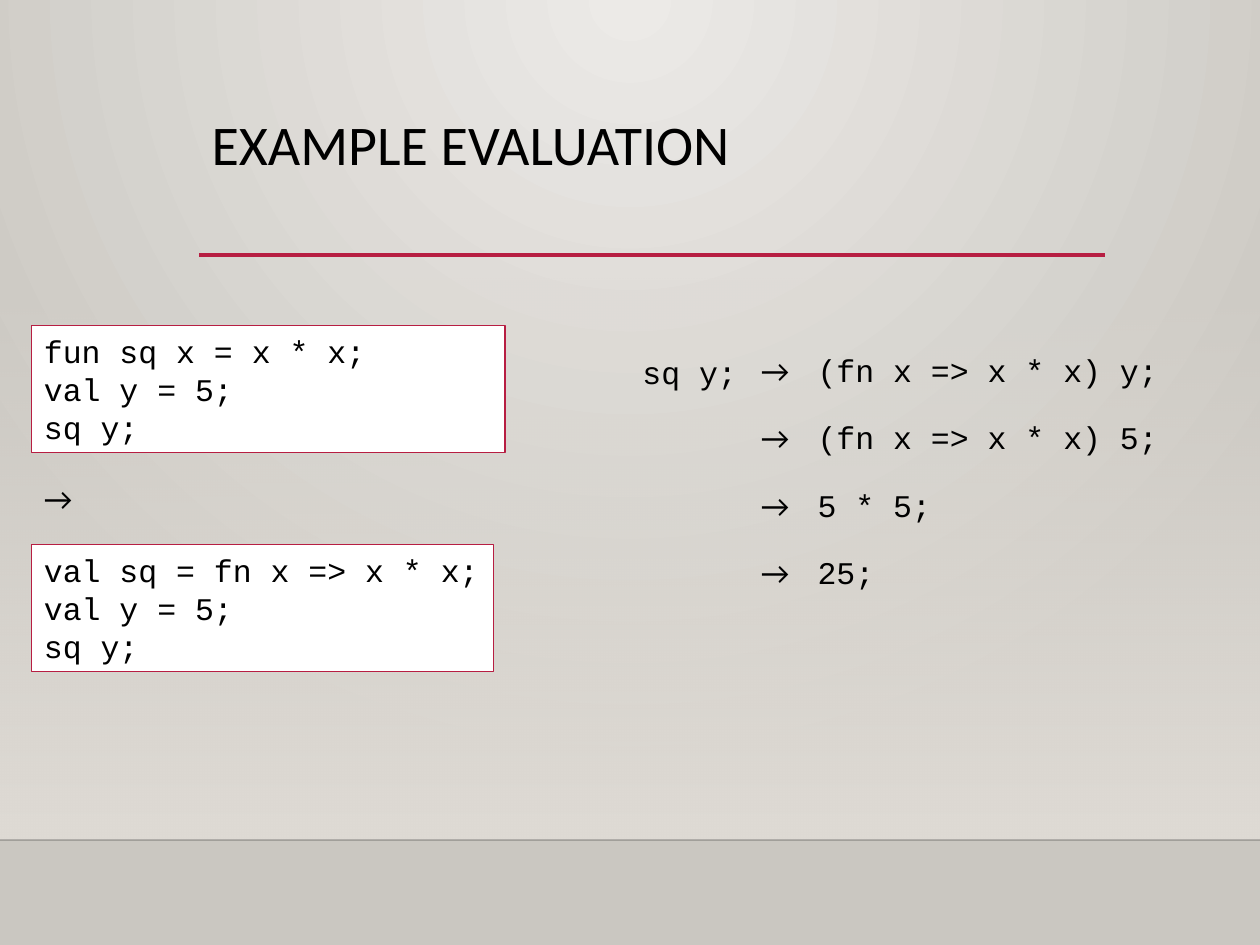
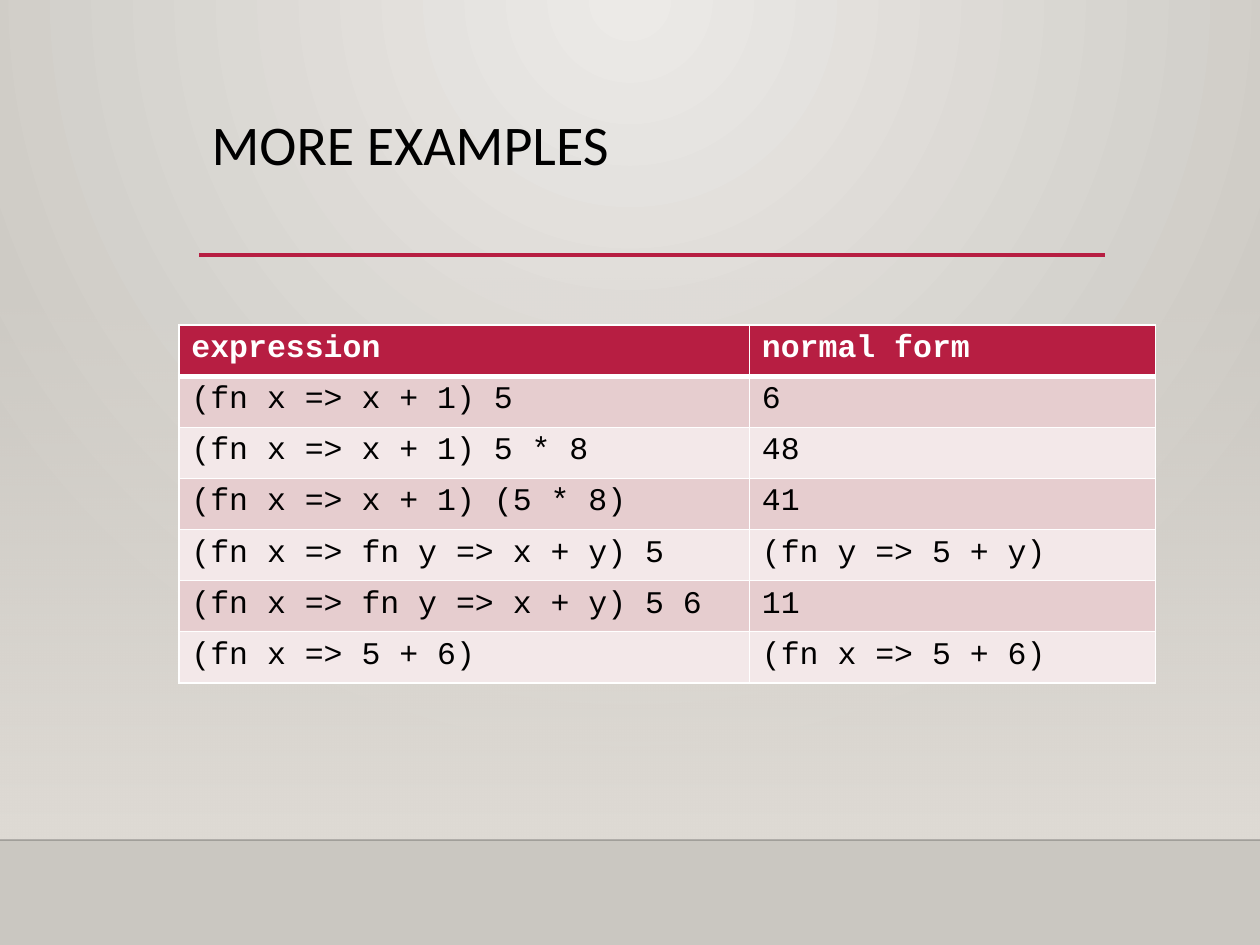
"""Builds two slides on evaluating expressions in a functional language."""
from lxml.etree import SubElement
from pptx import Presentation
from pptx.dml.color import RGBColor
from pptx.enum.shapes import MSO_CONNECTOR as CONN, MSO_SHAPE as SHAPE
from pptx.enum.text import MSO_ANCHOR as ANCHOR, PP_ALIGN as ALIGN
from pptx.oxml.ns import qn
from pptx.util import Pt

WIDTH, HEIGHT = 720, 540
SANS, MONO = "Calibri", "Courier New"
TEXT_SIZE, TEXT_HEIGHT = 18, 29
ARROW_WIDTH = 32.4
COLORS = {
    "accent": "B71E42", "text": "000000", "white": "FFFFFF", "floor": "000001",
    "glow": "ECEAE7", "edge": "CAC7C1", "haze": "DFDBD5",
    "row_dark": "E6CDCF", "row_light": "F3E8E9",
}


def rgb(name):
    return RGBColor.from_string(COLORS[name])


def add_alpha(color, percent):
    SubElement(color, qn("a:alpha"), val=str(percent * 1000))


def set_gradient(owner, fill, stops):
    """Fill with (position, colour, opacity) stops and return the emptied element."""
    fill.gradient()
    grad = owner.element.find(".//" + qn("a:gradFill"))
    for child in list(grad):
        grad.remove(child)
    stop_list = SubElement(grad, qn("a:gsLst"))
    for position, name, opacity in stops:
        stop = SubElement(stop_list, qn("a:gs"), pos=str(position * 1000))
        color = SubElement(stop, qn("a:srgbClr"), val=COLORS[name])
        if opacity < 100:
            add_alpha(color, opacity)
    return grad


def add_line(slide, x1, x2, y, color, width):
    line = slide.shapes.add_connector(CONN.STRAIGHT, Pt(x1), Pt(y), Pt(x2), Pt(y))
    line.line.color.rgb = rgb(color)
    line.line.width = Pt(width)
    SubElement(line.element.spPr, qn("a:effectLst"))
    return line


def write(tf, lines, font=MONO, size=TEXT_SIZE, color="text", bold=False):
    for i, text in enumerate(lines):
        p = tf.paragraphs[0] if i == 0 else tf.add_paragraph()
        p.alignment = ALIGN.LEFT
        r = p.add_run()
        r.text = text
        r.font.name, r.font.size, r.font.bold = font, Pt(size), bold
        r.font.color.rgb = rgb(color)


def add_text(slide, left, top, width, text, font=MONO, height=TEXT_HEIGHT,
             size=TEXT_SIZE, wrap=False):
    box = slide.shapes.add_textbox(Pt(left), Pt(top), Pt(width), Pt(height))
    tf = box.text_frame
    tf.word_wrap = wrap
    write(tf, [text], font, size)
    return tf


def add_arrow(slide, left, top):
    add_text(slide, left, top, ARROW_WIDTH, "→", SANS)


def add_backdrop(slide):
    grad = set_gradient(slide, slide.background.fill,
                        [(0, "glow", 100), (100, "edge", 100)])
    focus = SubElement(grad, qn("a:path"))
    focus.set("path", "circle")
    SubElement(focus, qn("a:fillToRect"), l="43000", t="0", r="43000", b="100000")

    top, floor = 158.6, 480
    haze = slide.shapes.add_shape(SHAPE.RECTANGLE, 0, Pt(top), Pt(WIDTH), Pt(floor - top))
    haze.shadow.inherit = False
    haze.line.fill.background()
    grad = set_gradient(haze, haze.fill, [(0, "haze", 0), (100, "haze", 100)])
    SubElement(grad, qn("a:lin"), ang="5400000", scaled="0")

    line = add_line(slide, 0, WIDTH, floor, "floor", 1)
    add_alpha(line.element.find(".//" + qn("a:srgbClr")), 20)


def add_title(slide, text, left=113.8, top=63.2, width=517.4, height=82.4):
    add_line(slide, left, left + width, top + height, "accent", 2.5)
    tf = add_text(slide, left, top, width, text, SANS, height, 32, wrap=True)
    tf.paragraphs[0].line_spacing = 0.9


def start_slide(prs, title):
    slide = prs.slides.add_slide(prs.slide_layouts[6])
    add_backdrop(slide)
    add_title(slide, title)
    return slide


def add_code_box(slide, left, top, width, lines, wrap=True):
    sp = slide.shapes.add_shape(SHAPE.RECTANGLE, Pt(left), Pt(top), Pt(width), Pt(72.7))
    sp.shadow.inherit = False
    sp.fill.solid()
    sp.fill.fore_color.rgb = rgb("white")
    sp.line.color.rgb = rgb("accent")
    sp.line.width = Pt(0.75)
    tf = sp.text_frame
    tf.word_wrap = wrap
    tf.vertical_anchor = ANCHOR.MIDDLE
    write(tf, lines)


def add_rewriting(slide, left, top):
    """Place the program above its desugared form."""
    shared = ["val y = 5;", "sq y;"]
    add_code_box(slide, left, top, 270.7, ["fun sq x = x * x;", *shared])
    add_arrow(slide, left, top + 84.2)
    add_code_box(slide, left, top + 125.2, 264.2,
                 ["val sq = fn x => x * x;", *shared], wrap=False)


def add_steps(slide, left, top, start, results, pitch=38.3):
    """Place the start expression and one arrow and result per step."""
    add_text(slide, left, top + 0.8, 69, start)
    arrow_left = left + 67.7
    for i, result in enumerate(results):
        y = top + i * pitch
        add_arrow(slide, arrow_left, y)
        add_text(slide, arrow_left + ARROW_WIDTH, y, 228, result, wrap=True)


def set_borders(cell, **widths):
    tc_pr = cell._tc.get_or_add_tcPr()
    for side in "LRTB":
        ln = SubElement(tc_pr, qn("a:ln" + side), w=str(Pt(widths.get(side, 1))))
        SubElement(SubElement(ln, qn("a:solidFill")), qn("a:srgbClr"), val=COLORS["white"])


def add_examples(slide, left, top, col_widths, rows, row_height=29.2):
    """Place a table with a header row and alternating bands."""
    frame = slide.shapes.add_table(len(rows), len(col_widths), Pt(left), Pt(top),
                                   Pt(sum(col_widths)), Pt(row_height * len(rows)))
    table = frame.table
    for column, width in zip(table.columns, col_widths):
        column.width = Pt(width)
    for i, row in enumerate(rows):
        table.rows[i].height = Pt(row_height)
        header = i == 0
        band = "accent" if header else "row_dark" if i % 2 else "row_light"
        for j, text in enumerate(row):
            cell = table.cell(i, j)
            set_borders(cell, T=3 if i == 1 else 1, B=3 if header else 1)
            cell.fill.solid()
            cell.fill.fore_color.rgb = rgb(band)
            write(cell.text_frame, [text], color="white" if header else "text", bold=header)


def build_evaluation(prs):
    slide = start_slide(prs, "EXAMPLE EVALUATION")
    add_rewriting(slide, 18, 185.8)
    add_steps(slide, 360, 197.3, "sq y;",
              ["(fn x => x * x) y;", "(fn x => x * x) 5;", "5 * 5;", "25;"])


def build_examples(prs):
    slide = start_slide(prs, "MORE EXAMPLES")
    add_examples(slide, 102.2, 185.8, [326, 232], [
        ("expression", "normal form"),
        ("(fn x => x + 1) 5", "6"),
        ("(fn x => x + 1) 5 * 8", "48"),
        ("(fn x => x + 1) (5 * 8)", "41"),
        ("(fn x => fn y => x + y) 5", "(fn y => 5 + y)"),
        ("(fn x => fn y => x + y) 5 6", "11"),
        ("(fn x => 5 + 6)", "(fn x => 5 + 6)"),
    ])


def main():
    prs = Presentation()
    prs.slide_width, prs.slide_height = Pt(WIDTH), Pt(HEIGHT)
    build_evaluation(prs)
    build_examples(prs)
    prs.save("out.pptx")


if __name__ == "__main__":
    main()
